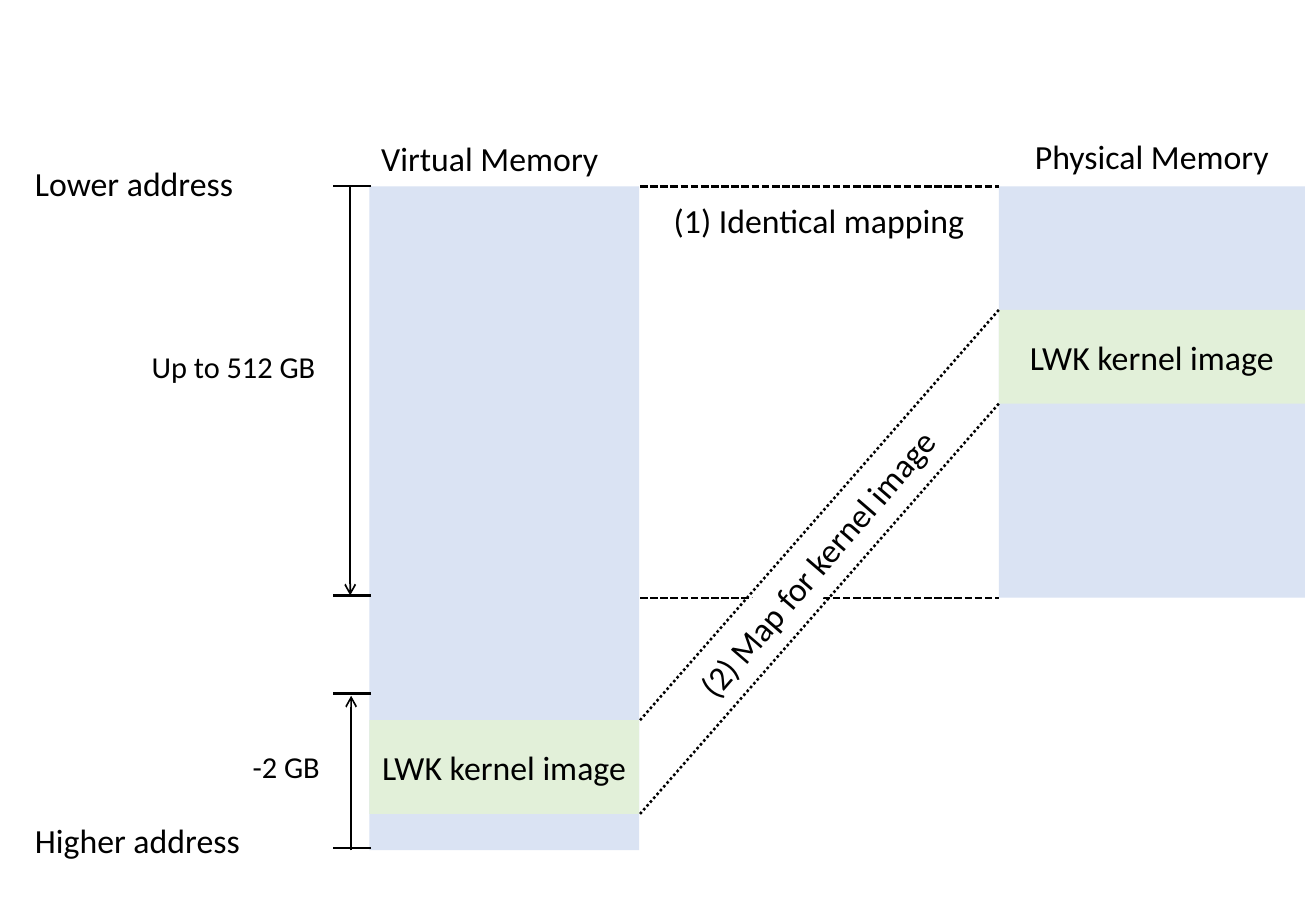
import pptx
import pptx.util
import pptx.dml.color
import pptx.enum.dml
import pptx.enum.shapes
import pptx.enum.text
import pptx.oxml.ns
import lxml.etree

Cm = pptx.util.Cm
DASH = pptx.enum.dml.MSO_LINE
ALIGN = pptx.enum.text.PP_ALIGN


def rgb(value):
    return pptx.dml.color.RGBColor.from_string(value)


class MemoryMap:
    """Draw memory blocks, labels and lines on one slide in a shared style."""

    font = "Calibri"
    ink = "000000"
    paper = "FFFFFF"
    memory = "DAE3F3"
    kernel = "E2F0D9"

    def __init__(self, slide):
        self.shapes = slide.shapes

    def set_text(self, sp, text, size, align):
        tf = sp.text_frame
        tf.text = text
        p = tf.paragraphs[0]
        p.alignment = align
        p.font.name = self.font
        p.font.size = pptx.util.Pt(size)
        p.font.color.rgb = rgb(self.ink)
        return tf

    def block(self, x, y, w, h, fill, text=""):
        sp = self.shapes.add_shape(
            pptx.enum.shapes.MSO_SHAPE.RECTANGLE, Cm(x), Cm(y), Cm(w), Cm(h))
        sp.shadow.inherit = False
        sp.fill.solid()
        sp.fill.fore_color.rgb = rgb(fill)
        sp.line.fill.background()
        if text:
            tf = self.set_text(sp, text, 20, ALIGN.CENTER)
            tf.word_wrap = True
            tf.vertical_anchor = pptx.enum.text.MSO_ANCHOR.MIDDLE
            tf.margin_left = tf.margin_right = 0

    def label(self, x, y, w, h, text, size=20, align=ALIGN.LEFT,
              wrap=True, fill=None, rotation=0):
        sp = self.shapes.add_textbox(Cm(x), Cm(y), Cm(w), Cm(h))
        tf = self.set_text(sp, text, size, align)
        tf.word_wrap = wrap
        tf.auto_size = pptx.enum.text.MSO_AUTO_SIZE.SHAPE_TO_FIT_TEXT
        sp.rotation = rotation
        if fill:
            sp.fill.solid()
            sp.fill.fore_color.rgb = rgb(fill)

    def line(self, x1, y1, x2, y2, width=1.5, dash=None, arrow=False):
        cx = self.shapes.add_connector(
            pptx.enum.shapes.MSO_CONNECTOR.STRAIGHT,
            Cm(x1), Cm(y1), Cm(x2), Cm(y2))
        cx.line.color.rgb = rgb(self.ink)
        cx.line.width = pptx.util.Pt(width)
        if dash:
            cx.line.dash_style = dash
        qn = pptx.oxml.ns.qn
        properties = cx._element.spPr
        if arrow:
            lxml.etree.SubElement(
                properties.find(qn("a:ln")), qn("a:tailEnd"), type="arrow")
        lxml.etree.SubElement(properties, qn("a:effectLst"))


def main():
    prs = pptx.Presentation()
    prs.slide_width, prs.slide_height = Cm(27.51), Cm(19.05)
    s = MemoryMap(prs.slides.add_slide(prs.slide_layouts[6]))

    top, virtual_bottom, physical_bottom = 3.9, 17.78, 12.5
    virtual_x, virtual_w = 7.72, 5.64
    physical_x, physical_w = 20.88, 6.4
    virtual_kernel_y, physical_kernel_y, kernel_h = 15.06, 6.48, 1.96
    gap_x = 13.38

    for x, w, bottom, kernel_y in (
            (physical_x, physical_w, physical_bottom, physical_kernel_y),
            (virtual_x, virtual_w, virtual_bottom, virtual_kernel_y)):
        s.block(x, top, w, bottom - top, s.memory)
        s.block(x, kernel_y, w, kernel_h, s.kernel, "LWK kernel image")

    s.label(physical_x, 2.72, physical_w, 1.12, "Physical Memory", align=ALIGN.CENTER)
    s.label(virtual_x, 2.76, 5.41, 1.12, "Virtual Memory")
    s.label(0.48, 3.27, 5.21, 1.12, "Lower address")
    s.label(0.48, 17.02, 5.21, 1.12, "Higher address")
    s.label(2.92, 7.16, 3.99, 1.02, "Up to 512 GB", size=18, wrap=False)
    s.label(5.03, 15.52, 1.93, 1.02, "-2 GB", size=18, wrap=False)

    for y in (top, physical_bottom):
        s.line(gap_x, y, physical_x, y, dash=DASH.SQUARE_DOT)
    s.label(12.57, 11.23, 9.02, 1.12, "(2) Map for kernel image",
            align=ALIGN.CENTER, fill=s.paper, rotation=310.8)
    for offset in (0, kernel_h):
        s.line(gap_x, virtual_kernel_y + offset,
               physical_x, physical_kernel_y + offset, dash=DASH.ROUND_DOT)
    s.label(13.59, 4.06, 7.06, 1.12, "(1) Identical mapping",
            align=ALIGN.CENTER, fill=s.paper)

    for y in (3.89, 12.45, 14.5, 17.73):
        s.line(7.76, y, 6.96, y)
    for x, start, end in ((7.32, top, 12.45), (7.34, virtual_bottom, 14.55)):
        s.line(x, start, x, end, width=1, arrow=True)

    prs.save("out.pptx")


if __name__ == "__main__":
    main()
